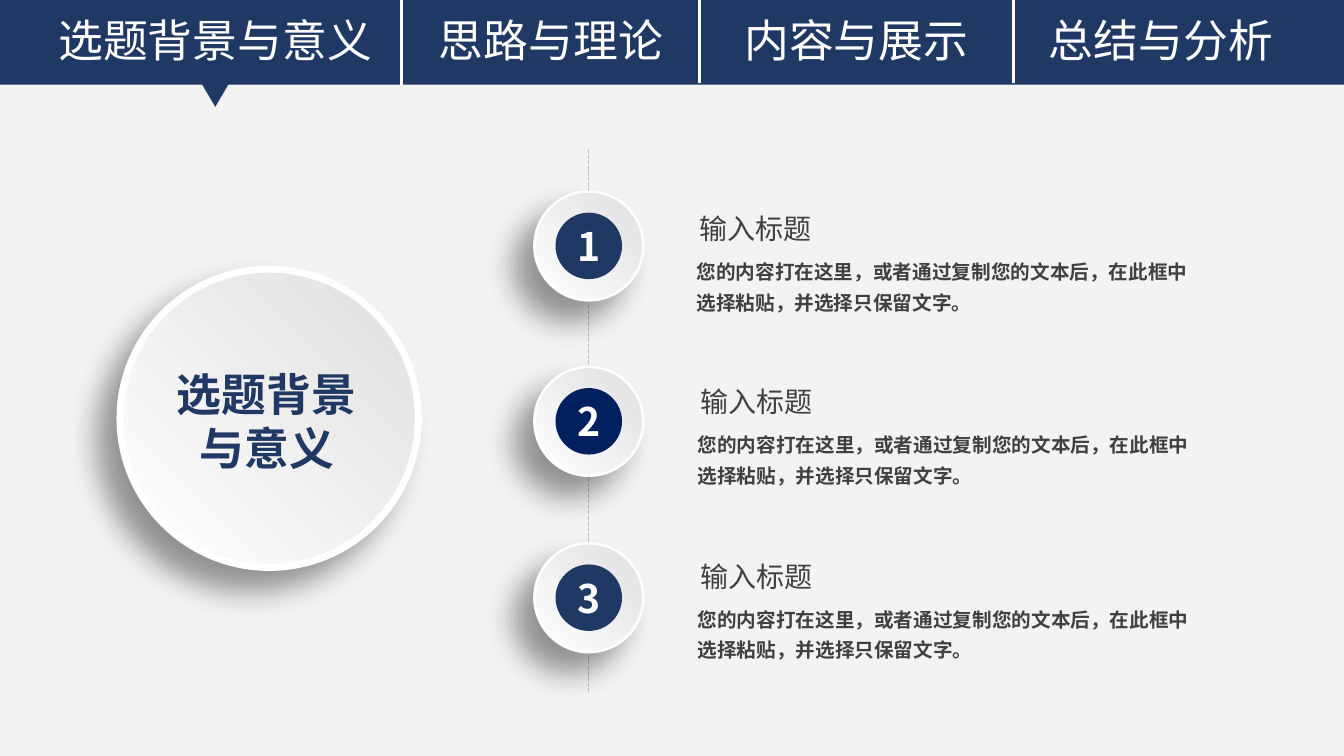
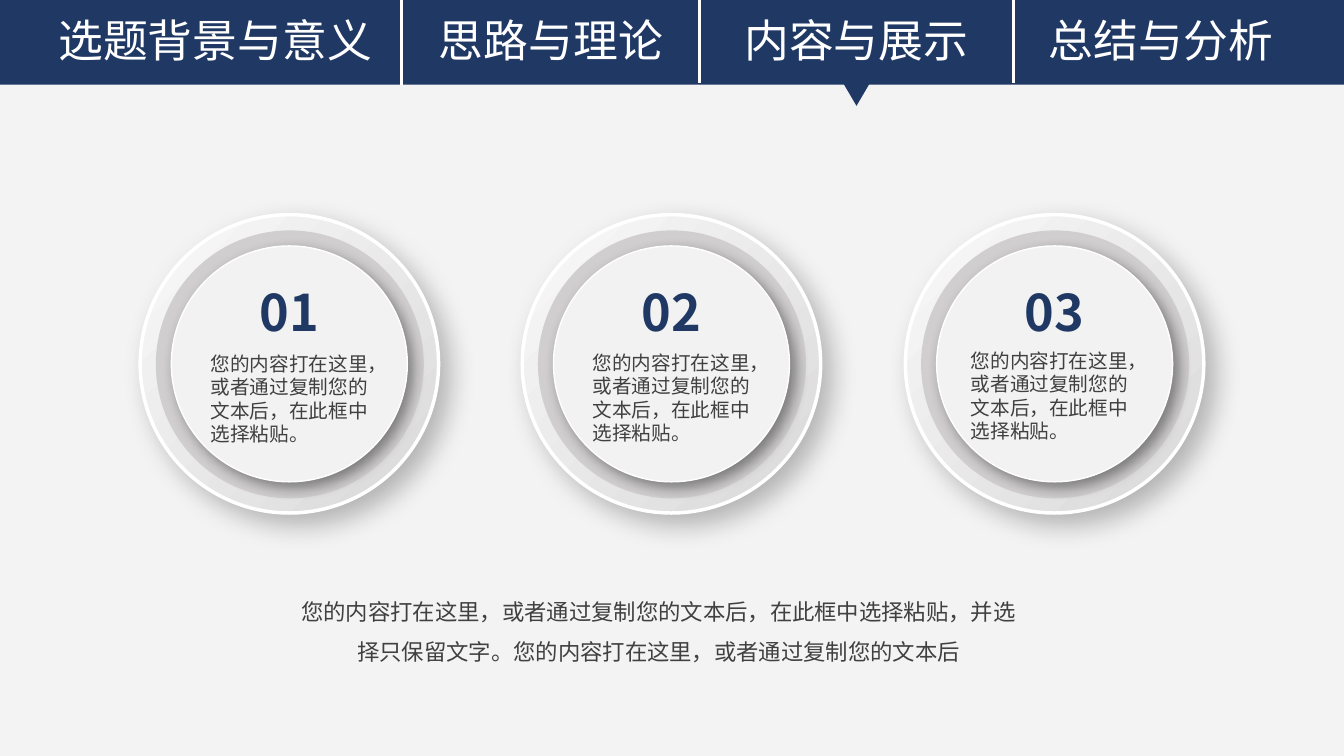
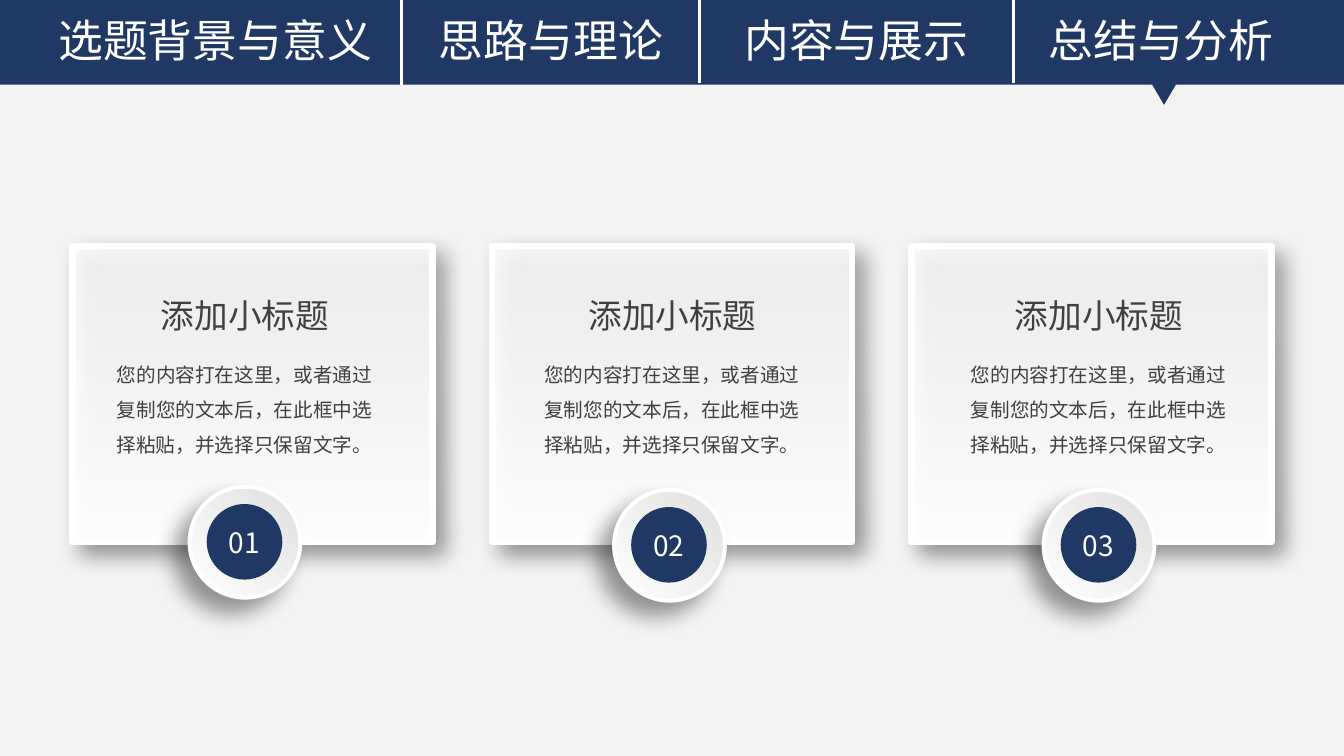
from lxml.etree import SubElement
from pptx import Presentation
from pptx.dml.color import RGBColor
from pptx.enum.dml import MSO_LINE
from pptx.enum.shapes import MSO_CONNECTOR, MSO_SHAPE
from pptx.enum.text import MSO_ANCHOR, MSO_AUTO_SIZE, PP_ALIGN
from pptx.oxml.ns import qn
from pptx.util import Pt

PX = 9144
FONT = "Noto Sans CJK SC"
COLORS = {
    "background": "F3F3F3",
    "navy": "203864",
    "deep navy": "002060",
    "white": "FFFFFF",
    "text": "404040",
    "dash": "C0C0C0",
    "shade": "E0E0E0",
    "pale": "F9F9F9",
    "silver": "D9D9D9",
    "ring": "D0CECE",
    "core": "F2F2F2",
    "shadow": "000000",
}
RGB = {name: RGBColor.from_string(value) for name, value in COLORS.items()}
RAISED = ("shade", "white", 225)
DISHED = ("pale", "silver", 315)
CARD = ("white", "white", 270)


def place(slide, kind, box, fill=None, line=None, line_width=0, shadow=None):
    bounds = [value * PX for value in box]
    if kind is None:
        return slide.shapes.add_textbox(*bounds)
    shape = slide.shapes.add_shape(kind, *bounds)
    if isinstance(fill, tuple):
        start, end, angle = fill
        shape.fill.gradient()
        shape.fill.gradient_angle = angle
        for stop, color in zip(shape.fill.gradient_stops, (start, end)):
            stop.color.rgb = RGB[color]
    else:
        shape.fill.solid()
        shape.fill.fore_color.rgb = RGB[fill]
    if line:
        shape.line.color.rgb = RGB[line]
        shape.line.width = Pt(line_width)
    else:
        shape.line.fill.background()
    shape.shadow.inherit = False
    if shadow:
        opacity, blur, distance, direction = shadow
        effects = shape.element.spPr.find(qn("a:effectLst"))
        outer = SubElement(effects, qn("a:outerShdw"), blurRad=str(Pt(blur)), dist=str(Pt(distance)),
                           dir=str(direction * 60000), algn="ctr", rotWithShape="0")
        color = SubElement(outer, qn("a:srgbClr"), val=COLORS["shadow"])
        SubElement(color, qn("a:alpha"), val=str(opacity * 1000))
    return shape


def write(shape, text, size, color="text", bold=False, align=PP_ALIGN.CENTER, spacing=1.0,
          margins=(10, 5), anchor=MSO_ANCHOR.TOP):
    frame = shape.text_frame
    frame.word_wrap = True
    frame.auto_size = MSO_AUTO_SIZE.NONE
    frame.vertical_anchor = anchor
    frame.margin_left = frame.margin_right = margins[0] * PX
    frame.margin_top = frame.margin_bottom = margins[1] * PX
    frame.text = text
    paragraph = frame.paragraphs[0]
    paragraph.alignment = align
    paragraph.line_spacing = spacing
    paragraph.font.size = Pt(size)
    paragraph.font.bold = bold
    paragraph.font.color.rgb = RGB[color]
    paragraph.font.name = FONT
    for properties in shape.element.iter(qn("a:defRPr")):
        SubElement(properties, qn("a:ea"), typeface=FONT)


presentation = Presentation()
presentation.slide_width = 1333 * PX
presentation.slide_height = 750 * PX
background = presentation.slide_master.background.fill
background.solid()
background.fore_color.rgb = RGB["background"]

tabs = [("选题背景与意义", 27, 373), ("思路与理论", 415, 263),
        ("内容与展示", 718, 263), ("总结与分析", 1020, 263)]
dividers = [(398, 0), (694, -2), (1005, -2)]
slides = []
for current, pointer_left, pointer_top in [(0, 200, 83), (2, 836, 82), (3, 1141, 81)]:
    slide = presentation.slides.add_slide(presentation.slide_layouts[5])
    slides.append(slide)
    place(slide, MSO_SHAPE.RECTANGLE, (0, 0, 1333, 84), "navy")
    for index, (name, left, width) in enumerate(tabs):
        box = (left, 8, width, 64)
        if index == current:
            label = slide.shapes.title
            label.left, label.top, label.width, label.height = [value * PX for value in box]
            slide.shapes.element.append(label.element)
        else:
            label = place(slide, None, box)
        write(label, name, 32, "white")
    for x, top in dividers:
        divider = slide.shapes.add_connector(MSO_CONNECTOR.STRAIGHT, x * PX, top * PX, x * PX, (top + 84) * PX)
        divider.line.color.rgb = RGB["white"]
        divider.line.width = Pt(2.25)
        SubElement(divider.element.spPr, qn("a:effectLst"))
    pointer = place(slide, MSO_SHAPE.ISOSCELES_TRIANGLE, (pointer_left, pointer_top, 27, 23), "navy")
    pointer.rotation = 180

topic_slide, content_slide, summary_slide = slides

timeline = topic_slide.shapes.add_connector(MSO_CONNECTOR.STRAIGHT, 584 * PX, 148 * PX, 584 * PX, 687 * PX)
timeline.line.color.rgb = RGB["dash"]
timeline.line.width = Pt(1)
timeline.line.dash_style = MSO_LINE.SQUARE_DOT
SubElement(timeline.element.spPr, qn("a:effectLst"))

description = "您的内容打在这里，或者通过复制您的文本后，在此框中选择粘贴，并选择只保留文字。"
steps = [(190, 203, 681, "navy"), (364, 375, 682, "deep navy"), (539, 548, 682, "navy")]
for number, (top, heading_top, text_left, color) in enumerate(steps, 1):
    place(topic_slide, MSO_SHAPE.OVAL, (530, top, 108, 108), RAISED, "white", 1.75, (40, 22, 20, 135))
    core = place(topic_slide, MSO_SHAPE.OVAL, (551, top + 21, 66, 66), color)
    write(core, str(number), 28, "white", bold=True, margins=(0, 0), anchor=MSO_ANCHOR.MIDDLE)
    write(place(topic_slide, None, (text_left, heading_top + 43, 517, 85)), description, 14,
          bold=True, align=PP_ALIGN.LEFT, spacing=1.3)
    write(place(topic_slide, None, (text_left, heading_top, 323, 48)), "输入标题", 20,
          align=PP_ALIGN.LEFT, spacing=1.2, margins=(13, 0))
place(topic_slide, MSO_SHAPE.OVAL, (119, 267, 296, 296), RAISED, "white", 5, (40, 22, 20, 135))
write(place(topic_slide, None, (147, 359, 235, 118)), "选题背景与意义", 32, "navy", bold=True)

dials = [(139, 199, 344), (518, 578, 343), (898, 953, 341)]
for number, (left, text_left, text_top) in enumerate(dials, 1):
    place(content_slide, MSO_SHAPE.OVAL, (left, 213, 296, 296), DISHED, "white", 2.5, (25, 19, 10, 45))
    place(content_slide, MSO_SHAPE.OVAL, (left + 17, 230, 263, 263), "ring", "ring", 2)
    place(content_slide, MSO_SHAPE.OVAL, (left + 31, 244, 234, 234), "core", "white", 1, (40, 10, 5, 45))
    write(place(content_slide, None, (left + 107, 274, 82, 71)), f"{number:02}", 36, "navy", bold=True)
    write(place(content_slide, None, (text_left, text_top, 182, 104)),
          "您的内容打在这里，或者通过复制您的文本后，在此框中选择粘贴。", 14, align=PP_ALIGN.LEFT)
write(place(content_slide, None, (278, 575, 751, 111)),
      description + "您的内容打在这里，或者通过复制您的文本后", 16, spacing=1.5)

cards = [(125, 188, 483), (549, 609, 486), (972, 1035, 486)]
for index, (heading_left, badge_left, badge_top) in enumerate(cards):
    card = place(summary_slide, MSO_SHAPE.RECTANGLE, (72 + index * 416, 244, 357, 294), CARD,
                 "white", 4.5, (40, 16, 10, 45))
    first_stop = next(card.element.iter(qn("a:gs")))
    SubElement(first_stop.find(qn("a:srgbClr")), qn("a:alpha"), val="80000")
    write(place(summary_slide, None, (heading_left, 273, 236, 40)), "添加小标题", 24,
          spacing=1.5, margins=(13, 0))
    write(place(summary_slide, None, (heading_left - 22, 343, 279, 78)), description, 14, spacing=1.5)
    place(summary_slide, MSO_SHAPE.OVAL, (badge_left, badge_top, 110, 110), RAISED, "white", 2.75,
          (40, 16, 14, 135))
    badge = place(summary_slide, MSO_SHAPE.OVAL, (badge_left + 17, badge_top + 17, 75, 75), "navy")
    write(badge, f"{index + 1:02}", 20, "white", margins=(0, 0), anchor=MSO_ANCHOR.MIDDLE)

presentation.save("out.pptx")
